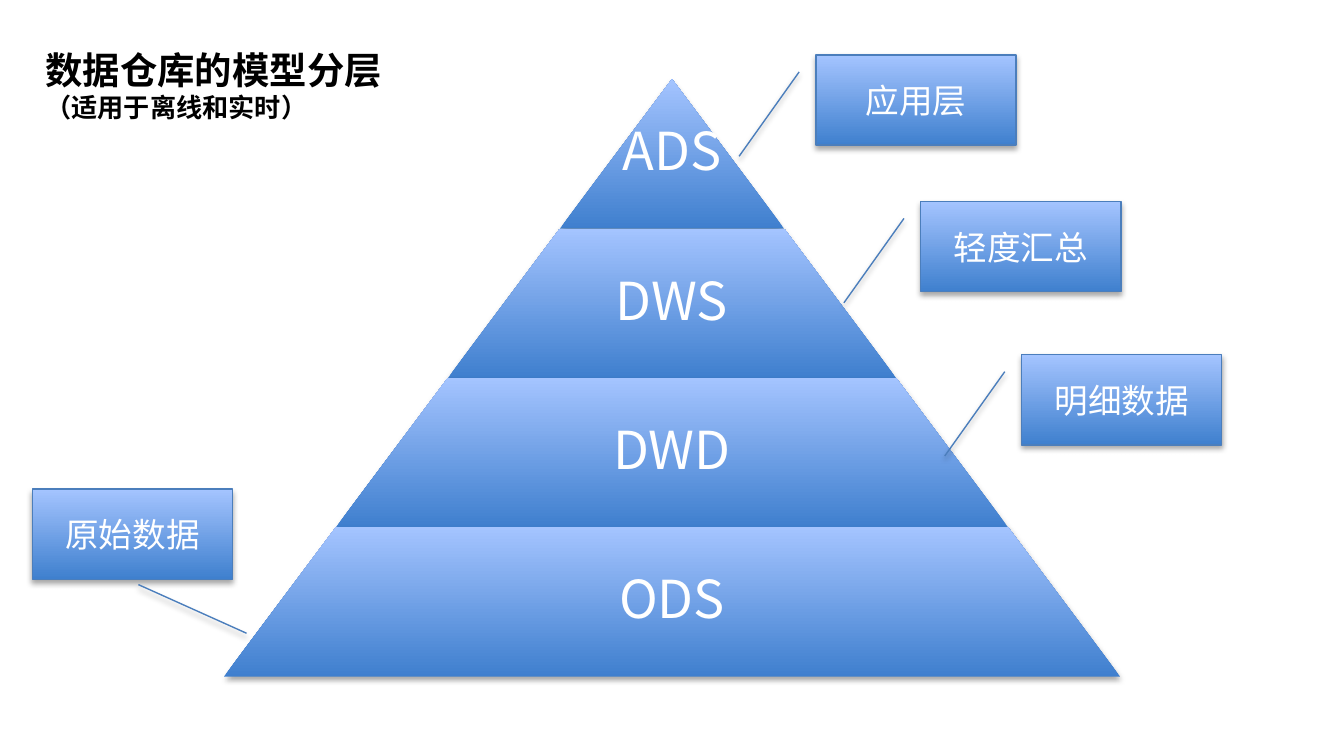
"""Build a slide showing the layered model of a data warehouse as a pyramid."""
from lxml import etree
from pptx import Presentation
from pptx.dml.color import RGBColor
from pptx.enum import shapes, text
from pptx.oxml import ns
from pptx.util import Inches, Pt

TITLE = [("数据仓库的模型分层", 20), ("（适用于离线和实时）", 14)]
TIERS = ["ADS", "DWS", "DWD", "ODS"]
CALLOUTS = [
    ("应用层", 6.07, 0.41, None),
    ("轻度汇总", 6.85, 1.5, None),
    ("明细数据", 7.6, 2.64, None),
    ("原始数据", 0.24, 3.64, (1.06, 0.53, 1.6, 1.07)),
]

CENTER, APEX = 5, 0.59
TIER_STEP = 5 / 3
TIER_HEIGHT = TIER_STEP * 2 / 3
CALLOUT_SIZE = Inches(1.49), Inches(0.67)
CJK_FONT, LATIN_FONT = "Noto Sans CJK SC", "Calibri"

WHITE = RGBColor(0xFF, 0xFF, 0xFF)
BLACK = RGBColor(0x00, 0x00, 0x00)
TIER_BLUE = RGBColor(0x3F, 0x7F, 0xCE)
CALLOUT_BLUE = RGBColor(0x3F, 0x80, 0xCE)
LIGHT_BLUE = RGBColor(0xA4, 0xC4, 0xFF)
OUTLINE = RGBColor(0x4B, 0x7E, 0xBC)


def style_text(para, size, name, color, bold=False):
    for span in para.runs:
        span.font.size = Pt(size)
        span.font.name = name
        span.font.bold = bold
        span.font.color.rgb = color
        if name == CJK_FONT:
            east_asian = etree.SubElement(span.font._element, ns.qn("a:ea"))
            east_asian.set("typeface", name)


def center_text(shape, label, size, name):
    frame = shape.text_frame
    frame.text = label
    frame.word_wrap = True
    frame.vertical_anchor = text.MSO_ANCHOR.MIDDLE
    para = frame.paragraphs[0]
    para.alignment = text.PP_ALIGN.CENTER
    style_text(para, size, name, WHITE)
    return frame


def shade(shape, bottom_color):
    shape.fill.gradient()
    shape.fill.gradient_angle = 90
    for stop, color in zip(shape.fill.gradient_stops, (bottom_color, LIGHT_BLUE)):
        stop.color.rgb = color


def add_shadow(shape):
    shape.shadow.inherit = False
    effects = shape._element.spPr.find(ns.qn("a:effectLst"))
    outer = etree.SubElement(effects, ns.qn("a:outerShdw"), blurRad=str(Pt(3.1)),
                             dist=str(Pt(1.8)), dir="5400000", rotWithShape="0")
    color = etree.SubElement(outer, ns.qn("a:srgbClr"), val="000000")
    etree.SubElement(color, ns.qn("a:alpha"), val="35000")


def add_tier(pyramid, index, label):
    top = Inches(APEX + index * TIER_HEIGHT)
    width = (index + 1) * TIER_STEP
    height = Inches(TIER_HEIGHT)
    tier = pyramid.shapes.add_shape(shapes.MSO_SHAPE.TRAPEZOID,
                                    Inches(CENTER - width / 2), top, Inches(width), height)
    tier.adjustments[0] = 0.75
    shade(tier, TIER_BLUE)
    tier.line.fill.background()
    add_shadow(tier)

    text_width = width if index == 0 else width * 0.65
    box = pyramid.shapes.add_textbox(Inches(CENTER - text_width / 2), top,
                                     Inches(text_width), height)
    frame = center_text(box, label, 28, CJK_FONT)
    frame.margin_left = frame.margin_right = Inches(0.04)
    frame.margin_top = frame.margin_bottom = Inches(0.04)
    frame.paragraphs[0].line_spacing = 0.9


def add_callout(page, label, left, top, pointer):
    callout = page.shapes.add_shape(shapes.MSO_SHAPE.LINE_CALLOUT_1,
                                    Inches(left), Inches(top), *CALLOUT_SIZE)
    for index, value in enumerate(pointer or ()):
        callout.adjustments[index] = value
    shade(callout, CALLOUT_BLUE)
    callout.line.color.rgb = OUTLINE
    callout.line.width = Pt(0.75)
    add_shadow(callout)
    center_text(callout, label, 18, LATIN_FONT)


def add_title(page):
    box = page.shapes.add_textbox(Inches(0.24), Inches(0.3), Inches(2.73), Inches(0.67))
    frame = box.text_frame
    frame.word_wrap = False
    frame.auto_size = text.MSO_AUTO_SIZE.SHAPE_TO_FIT_TEXT
    frame.text = "\n".join(line for line, _ in TITLE)
    for para, (_, size) in zip(frame.paragraphs, TITLE):
        style_text(para, size, CJK_FONT, BLACK, bold=True)


def main():
    deck = Presentation()
    deck.slide_width = Inches(10)
    deck.slide_height = deck.slide_width * 9 // 16
    page = deck.slides.add_slide(deck.slide_layouts[6])
    pyramid = page.shapes.add_group_shape()
    for index, label in enumerate(TIERS):
        add_tier(pyramid, index, label)
    for callout in CALLOUTS:
        add_callout(page, *callout)
    add_title(page)
    deck.save("out.pptx")


if __name__ == "__main__":
    main()
